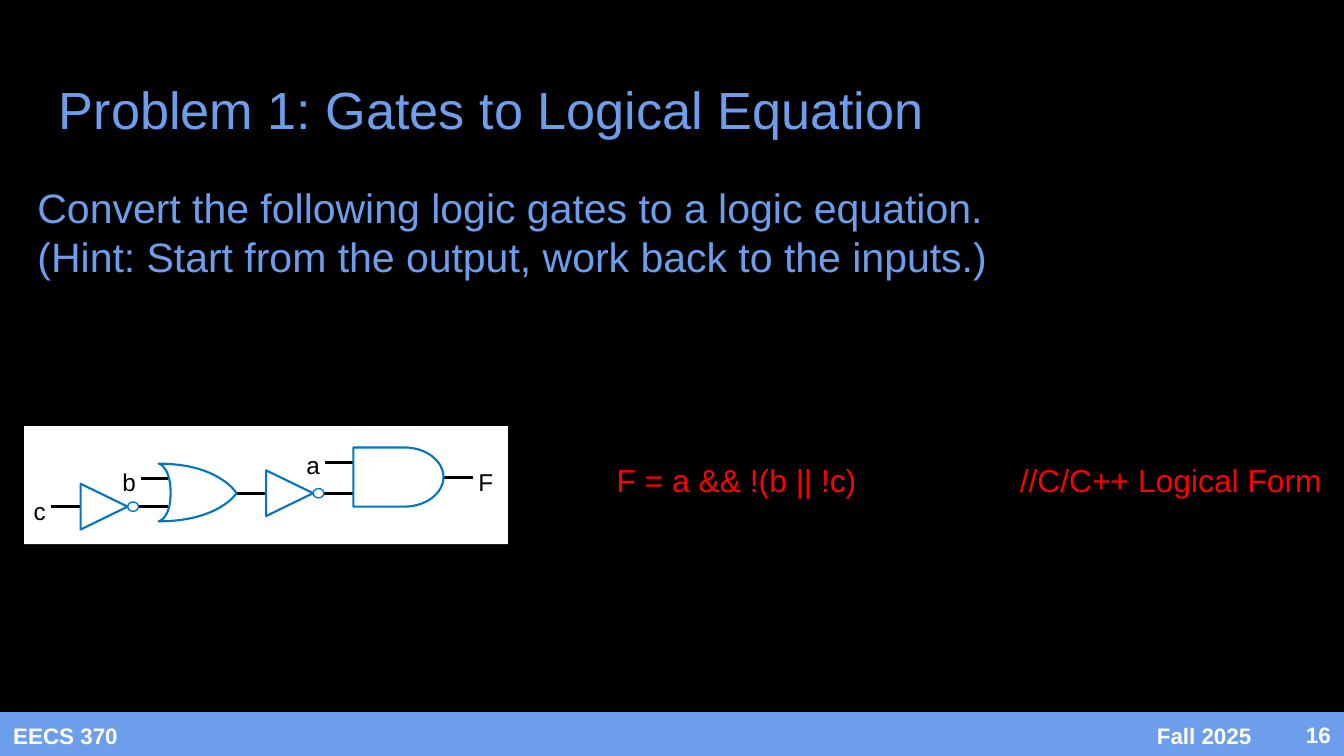
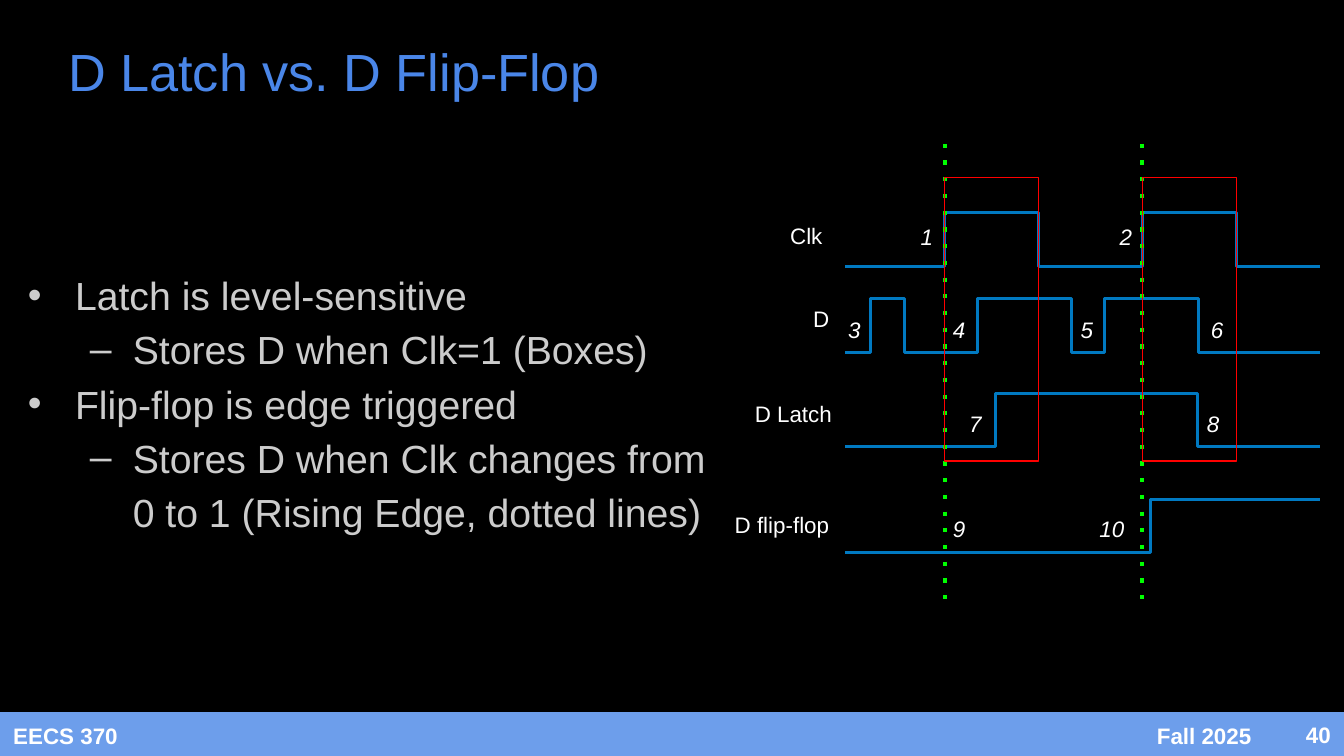
from lxml import etree
from pptx import Presentation
from pptx import util as u
from pptx.dml.color import RGBColor
from pptx.enum import dml, shapes, text
from pptx.oxml.ns import qn

FONT = "Arial"
BLACK, WHITE, RED, GREEN = "000000", "FFFFFF", "FF0000", "00FF00"
SKY, BLUE, GREY = "6D9EEB", "4A86E8", "CCCCCC"
GATE, WAVE = "0078C1", "0079C1"
LEFT, RIGHT = text.PP_ALIGN.LEFT, text.PP_ALIGN.RIGHT
TOP, MIDDLE = text.MSO_ANCHOR.TOP, text.MSO_ANCHOR.MIDDLE
BODY_INSET, BAND_INSET = (0.1, 0.05), (0.1, 0.1)
BAND_TOP, BAND_HEIGHT = 5.3, 0.34

TASK = [
    "Convert the following logic gates to a logic equation.",
    "(Hint: Start from the output, work back to the inputs.)",
]
ANSWER = "F = a && !(b || !c)\t\t//C/C++ Logical Form"
ANSWER_TABS = [2, 3]
WIRES = [
    (2.42, 2.63, 3.44), (2.36, 2.63, 3.67), (1.76, 1.97, 3.67),
    (0.98, 1.25, 3.77), (0.38, 0.6, 3.77), (3.29, 3.52, 3.55),
    (1.05, 1.25, 3.56),
]
INVERTERS = [(1.98, 3.67), (0.6, 3.77)]
AND_GATE = [
    (2.63, 3.77), (3.01, 3.77),
    ((3.17, 3.77), (3.3, 3.67), (3.3, 3.55)),
    ((3.3, 3.43), (3.17, 3.33), (3.01, 3.33)),
    (2.63, 3.33),
]
OR_GATE = [
    (1.76, 3.67),
    ((1.76, 3.67), (1.63, 3.88), (1.18, 3.88)),
    ((1.18, 3.88), (1.27, 3.86), (1.27, 3.67)),
    ((1.27, 3.47), (1.18, 3.45), (1.18, 3.45)),
    ((1.63, 3.45), (1.76, 3.67), (1.76, 3.67)),
]
PINS = [("a", 2.28, 3.35), ("b", 0.91, 3.48), ("c", 0.25, 3.69), ("F", 3.56, 3.48)]

COMPARISON = [
    (0, "Latch is level-sensitive"),
    (1, "Stores D when Clk=1 (Boxes)"),
    (0, "Flip-flop is edge triggered"),
    (1, "Stores D when Clk changes from 0 to 1 (Rising Edge, dotted lines)"),
]
BULLETS = [("•", 0.38, -0.35), ("–", 0.81, -0.32)]
WAVE_START, WAVE_END = 6.29, 9.82
RISING_EDGES = [7.03, 8.5]
CLOCK_HIGH = 0.7
SIGNALS = [
    {"name": "Clk", "name_at": (6.12, 1.65), "low": 1.98, "high": 1.58,
     "edges": [x for rise in RISING_EDGES for x in (rise, rise + CLOCK_HIGH)],
     "marks_top": 1.66, "marks": [("1", 6.85), ("2", 8.33)]},
    {"name": "D", "name_at": (6.17, 2.27), "low": 2.62, "high": 2.22,
     "edges": [6.48, 6.73, 7.27, 7.97, 8.22, 8.92],
     "marks_top": 2.35, "marks": [("3", 6.31), ("4", 7.09), ("5", 8.04), ("6", 9.01)]},
    {"name": "D Latch", "name_at": (6.19, 2.98), "low": 3.32, "high": 2.93,
     "edges": [7.41, 8.91],
     "marks_top": 3.05, "marks": [("7", 7.21), ("8", 8.98)]},
    {"name": "D flip-flop", "name_at": (6.17, 3.8), "low": 4.11, "high": 3.72,
     "edges": [8.56],
     "marks_top": 3.83, "marks": [("9", 7.09), ("10", 8.18)]},
]


def color(value):
    return RGBColor.from_string(value)


def box(at):
    return [u.Inches(n) for n in at]


def paint(shape, fill=None, line=None, width=0.75):
    shape.shadow.inherit = False
    if fill:
        shape.fill.solid()
        shape.fill.fore_color.rgb = color(fill)
    else:
        shape.fill.background()
    if line:
        shape.line.color.rgb = color(line)
        shape.line.width = u.Pt(width)
    else:
        shape.line.fill.background()


def add_preset(slide, kind, at, **look):
    paint(slide.shapes.add_shape(kind, *box(at)), **look)


def add_rect(slide, at, **look):
    add_preset(slide, shapes.MSO_SHAPE.RECTANGLE, at, **look)


def add_line(slide, start, end, line, width, dotted=False):
    wire = slide.shapes.add_connector(shapes.MSO_CONNECTOR.STRAIGHT, *box(start + end))
    wire.line.color.rgb = color(line)
    wire.line.width = u.Pt(width)
    if dotted:
        wire.line.dash_style = dml.MSO_LINE.ROUND_DOT
        next(wire._element.iter(qn("a:prstDash"))).set("val", "dot")
    etree.SubElement(wire._element.spPr, qn("a:effectLst"))


def bezier(controls, steps=16):
    for step in range(1, steps + 1):
        t = step / steps
        weights = ((1 - t) ** 3, 3 * t * (1 - t) ** 2, 3 * t * t * (1 - t), t ** 3)
        yield tuple(sum(w * p[axis] for w, p in zip(weights, controls)) for axis in (0, 1))


def add_outline(slide, segments, closed=True, **look):
    points = [segments[0]]
    for segment in segments[1:]:
        if isinstance(segment[0], tuple):
            points.extend(bezier((points[-1],) + segment))
        else:
            points.append(segment)
    start, *rest = [tuple(box(point)) for point in points]
    builder = slide.shapes.build_freeform(*start)
    builder.add_line_segments(rest, close=closed)
    paint(builder.convert_to_shape(), **look)


def add_bullet(paragraph, level):
    mark, margin, indent = BULLETS[level]
    paragraph.level = level
    paragraph.line_spacing = 1.15
    props = paragraph._p.get_or_add_pPr()
    props.set("marL", str(u.Inches(margin)))
    props.set("indent", str(u.Inches(indent)))
    tint = etree.SubElement(props, qn("a:buClr"))
    etree.SubElement(tint, qn("a:srgbClr")).set("val", GREY)
    etree.SubElement(props, qn("a:buFont")).set("typeface", FONT)
    etree.SubElement(props, qn("a:buChar")).set("char", mark)


def add_tabs(paragraph, stops):
    tabs = etree.SubElement(paragraph._p.get_or_add_pPr(), qn("a:tabLst"))
    for stop in stops:
        etree.SubElement(tabs, qn("a:tab"), pos=str(u.Inches(stop)), algn="l")


def add_text(slide, at, lines, size, ink, inset=(0, 0), align=LEFT, anchor=TOP,
             bold=False, italic=False, levels=None, tabs=None):
    frame = slide.shapes.add_textbox(*box(at)).text_frame
    frame.word_wrap = True
    frame.vertical_anchor = anchor
    frame.margin_left = frame.margin_right = u.Inches(inset[0])
    frame.margin_top = frame.margin_bottom = u.Inches(inset[1])
    frame.text = "\n".join(lines)
    for index, paragraph in enumerate(frame.paragraphs):
        if levels:
            add_bullet(paragraph, levels[index])
        if tabs:
            add_tabs(paragraph, tabs)
        paragraph.alignment = align
        for run in paragraph.runs:
            run.font.name = FONT
            run.font.size = u.Pt(size)
            run.font.bold = bold
            run.font.italic = italic
            run.font.color.rgb = color(ink)


def add_slide(deck, title, title_at, title_ink, number):
    slide = deck.slides.add_slide(deck.slide_layouts[6])
    slide.background.fill.solid()
    slide.background.fill.fore_color.rgb = color(BLACK)
    add_rect(slide, (0, BAND_TOP, 10, BAND_HEIGHT), fill=SKY)
    footers = [("EECS 370", 0, 1.82, BAND_HEIGHT, LEFT),
               ("Fall 2025", 7.59, 1.82, BAND_HEIGHT, RIGHT),
               (number, 9.41, 0.59, 0.33, RIGHT)]
    for words, left, width, height, align in footers:
        add_text(slide, (left, BAND_TOP, width, height), [words], 12, WHITE,
                 BAND_INSET, align, MIDDLE, bold=True)
    add_text(slide, title_at, [title], 28, title_ink, BODY_INSET, anchor=MIDDLE)
    return slide


def add_inverter(slide, left, middle):
    tip, bubble_width, bubble_height = left + 0.35, 0.08, 0.07
    add_outline(slide, [(left, middle + 0.17), (tip, middle), (left, middle - 0.17)],
                fill=WHITE, line=GATE, width=1.12)
    add_preset(slide, shapes.MSO_SHAPE.OVAL,
               (tip, middle - bubble_height / 2, bubble_width, bubble_height),
               fill=WHITE, line=GATE)


def build_gates(deck):
    slide = add_slide(deck, "Problem 1: Gates to Logical Equation",
                      (0.34, 0.49, 9.32, 0.63), SKY, "16")
    add_text(slide, (0.18, 1.31, 9.42, 0.88), TASK, 22, SKY, BODY_INSET)
    add_rect(slide, (0.18, 3.17, 3.6, 0.88), fill=WHITE)
    for left, right, y in WIRES:
        add_line(slide, (left, y), (right, y), BLACK, 1.62)
    for left, middle in INVERTERS:
        add_inverter(slide, left, middle)
    for gate in (AND_GATE, OR_GATE):
        add_outline(slide, gate, fill=WHITE, line=GATE, width=1.12)
    for pin, left, top in PINS:
        add_text(slide, (left, top, 0.11, 0.16), [pin], 13, BLACK)
    add_text(slide, (4.49, 3.33, 5.51, 0.49), [ANSWER], 17, RED, BAND_INSET,
             tabs=ANSWER_TABS)


def add_signal(slide, signal):
    level, other = signal["low"], signal["high"]
    points = [(WAVE_START, level)]
    for x in signal["edges"]:
        points += [(x, level), (x, other)]
        level, other = other, level
    points.append((WAVE_END, level))
    add_outline(slide, points, closed=False, line=WAVE, width=1.62)
    right, top = signal["name_at"]
    width = 0.12 * len(signal["name"])
    add_text(slide, (right - width, top, width, 0.24), [signal["name"]], 12, WHITE,
             align=RIGHT)
    for mark, left in signal["marks"]:
        add_text(slide, (left, signal["marks_top"], 0.12 * len(mark), 0.24), [mark],
                 12, WHITE, italic=True)


def build_timing(deck):
    slide = add_slide(deck, "D Latch vs. D Flip-Flop", (0.41, 0.14, 9.27, 0.77), BLUE, "40")
    levels, lines = zip(*COMPARISON)
    add_text(slide, (0.08, 1.92, 5.32, 2.35), lines, 21, GREY, BODY_INSET, levels=levels)
    for signal in SIGNALS:
        add_signal(slide, signal)
    for rise in RISING_EDGES:
        add_line(slide, (rise, 1.07), (rise, 4.47), GREEN, 2.25, dotted=True)
        add_rect(slide, (rise, 1.32, CLOCK_HIGH, 2.11), line=RED)


def main():
    deck = Presentation()
    deck.slide_width = u.Inches(10)
    deck.slide_height = deck.slide_width * 9 // 16
    build_gates(deck)
    build_timing(deck)
    deck.save("out.pptx")


if __name__ == "__main__":
    main()
